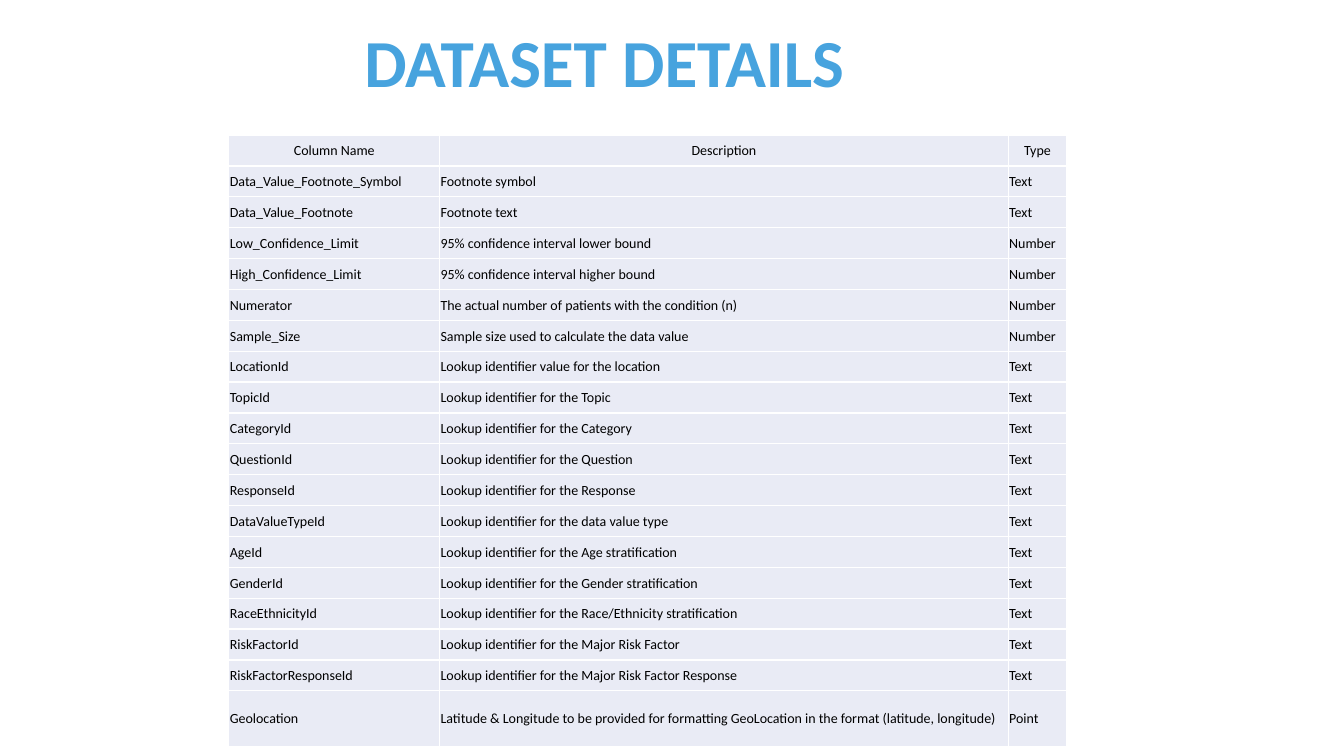
"""Build the dataset details slide: a heading above a table of column descriptions."""
from lxml import etree
from pptx import Presentation
from pptx.dml.color import RGBColor
from pptx.enum.text import MSO_ANCHOR, MSO_AUTO_SIZE, PP_ALIGN
from pptx.oxml.ns import qn
from pptx.util import Inches, Pt

MIDDLE = MSO_ANCHOR.MIDDLE
CENTER, LEFT = PP_ALIGN.CENTER, PP_ALIGN.LEFT
NO_AUTOFIT = MSO_AUTO_SIZE.NONE
TITLE_ONLY = 5

HEADING = "DATASET DETAILS"
HEADER = ("Column Name", "Description", "Type")
COLUMNS = [
    ("Data_Value_Footnote_Symbol", "Footnote symbol", "Text"),
    ("Data_Value_Footnote", "Footnote text", "Text"),
    ("Low_Confidence_Limit", "95% confidence interval lower bound", "Number"),
    ("High_Confidence_Limit", "95% confidence interval higher bound", "Number"),
    ("Numerator", "The actual number of patients with the condition (n)", "Number"),
    ("Sample_Size", "Sample size used to calculate the data value", "Number"),
    ("LocationId", "Lookup identifier value for the location", "Text"),
    ("TopicId", "Lookup identifier for the Topic", "Text"),
    ("CategoryId", "Lookup identifier for the Category", "Text"),
    ("QuestionId", "Lookup identifier for the Question", "Text"),
    ("ResponseId", "Lookup identifier for the Response", "Text"),
    ("DataValueTypeId", "Lookup identifier for the data value type", "Text"),
    ("AgeId", "Lookup identifier for the Age stratification", "Text"),
    ("GenderId", "Lookup identifier for the Gender stratification", "Text"),
    ("RaceEthnicityId", "Lookup identifier for the Race/Ethnicity stratification", "Text"),
    ("RiskFactorId", "Lookup identifier for the Major Risk Factor", "Text"),
    ("RiskFactorResponseId", "Lookup identifier for the Major Risk Factor Response", "Text"),
    ("Geolocation", "Latitude & Longitude to be provided for formatting GeoLocation "
     "in the format (latitude, longitude)", "Point"),
]

FONT = "Calibri"
BLUE, BLACK, WHITE, PALE = "47A3DE", "000000", "FFFFFF", "E9EBF5"
HEADING_BOX = (0.8, 0.23, 10.39, 0.84)
TABLE_LEFT, TABLE_TOP, TABLE_HEIGHT = 2.27, 1.34, 6.07
COLUMN_WIDTHS = (2.09, 5.64, 0.58)
LAST_ROW_HEIGHT = 0.55

HEADING_FRAME = {"vertical_anchor": MIDDLE, "word_wrap": True, "auto_size": NO_AUTOFIT}
HEADING_PARAGRAPH = {"alignment": CENTER, "line_spacing": 0.9, "space_before": Pt(10)}
HEADING_FONT = {"name": FONT, "size": Pt(48), "bold": True}
CELL_FORMAT = {
    "vertical_anchor": MIDDLE,
    "margin_left": Inches(0.01),
    "margin_right": Inches(0.01),
    "margin_top": Inches(0.01),
    "margin_bottom": 0,
}
CELL_FONT = {"name": FONT, "size": Pt(10), "bold": False}


def apply(target, values):
    for name, value in values.items():
        setattr(target, name, value)


def paint(color_format, hex_color):
    color_format.rgb = RGBColor.from_string(hex_color)


def add_borders(cell, hex_color, width):
    properties = cell._tc.get_or_add_tcPr()
    for position, side in enumerate(("lnL", "lnR", "lnT", "lnB")):
        line = etree.Element(qn(f"a:{side}"), w=str(width))
        fill = etree.SubElement(line, qn("a:solidFill"))
        etree.SubElement(fill, qn("a:srgbClr"), val=hex_color)
        properties.insert(position, line)


def add_heading(slide):
    heading = slide.shapes.title
    edges = ("left", "top", "width", "height")
    apply(heading, dict(zip(edges, map(Inches, HEADING_BOX))))
    frame = heading.text_frame
    frame.text = HEADING
    apply(frame, HEADING_FRAME)
    line = frame.paragraphs[0]
    apply(line, HEADING_PARAGRAPH)
    font = line.runs[0].font
    apply(font, HEADING_FONT)
    paint(font.color, BLUE)


def fill_cell(cell, wording, alignment):
    cell.text = wording
    apply(cell, CELL_FORMAT)
    cell.fill.solid()
    paint(cell.fill.fore_color, PALE)
    add_borders(cell, WHITE, Pt(1))
    line = cell.text_frame.paragraphs[0]
    line.alignment = alignment
    font = line.runs[0].font
    apply(font, CELL_FONT)
    paint(font.color, BLACK)


def add_details(slide):
    entries = [HEADER, *COLUMNS]
    details = slide.shapes.add_table(
        len(entries), len(HEADER), Inches(TABLE_LEFT), Inches(TABLE_TOP),
        Inches(sum(COLUMN_WIDTHS)), Inches(TABLE_HEIGHT)).table
    for column, width in zip(details.columns, COLUMN_WIDTHS):
        column.width = Inches(width)
    row_height = (TABLE_HEIGHT - LAST_ROW_HEIGHT) / len(COLUMNS)
    heights = [row_height] * len(COLUMNS) + [LAST_ROW_HEIGHT]
    for row, height, entry in zip(details.rows, heights, entries):
        row.height = Inches(height)
        alignment = CENTER if entry is HEADER else LEFT
        for cell, wording in zip(row.cells, entry):
            fill_cell(cell, wording, alignment)


def main():
    deck = Presentation()
    deck.slide_width, deck.slide_height = Inches(13.33), Inches(7.5)
    slide = deck.slides.add_slide(deck.slide_layouts[TITLE_ONLY])
    add_heading(slide)
    add_details(slide)
    deck.save("out.pptx")


if __name__ == "__main__":
    main()
